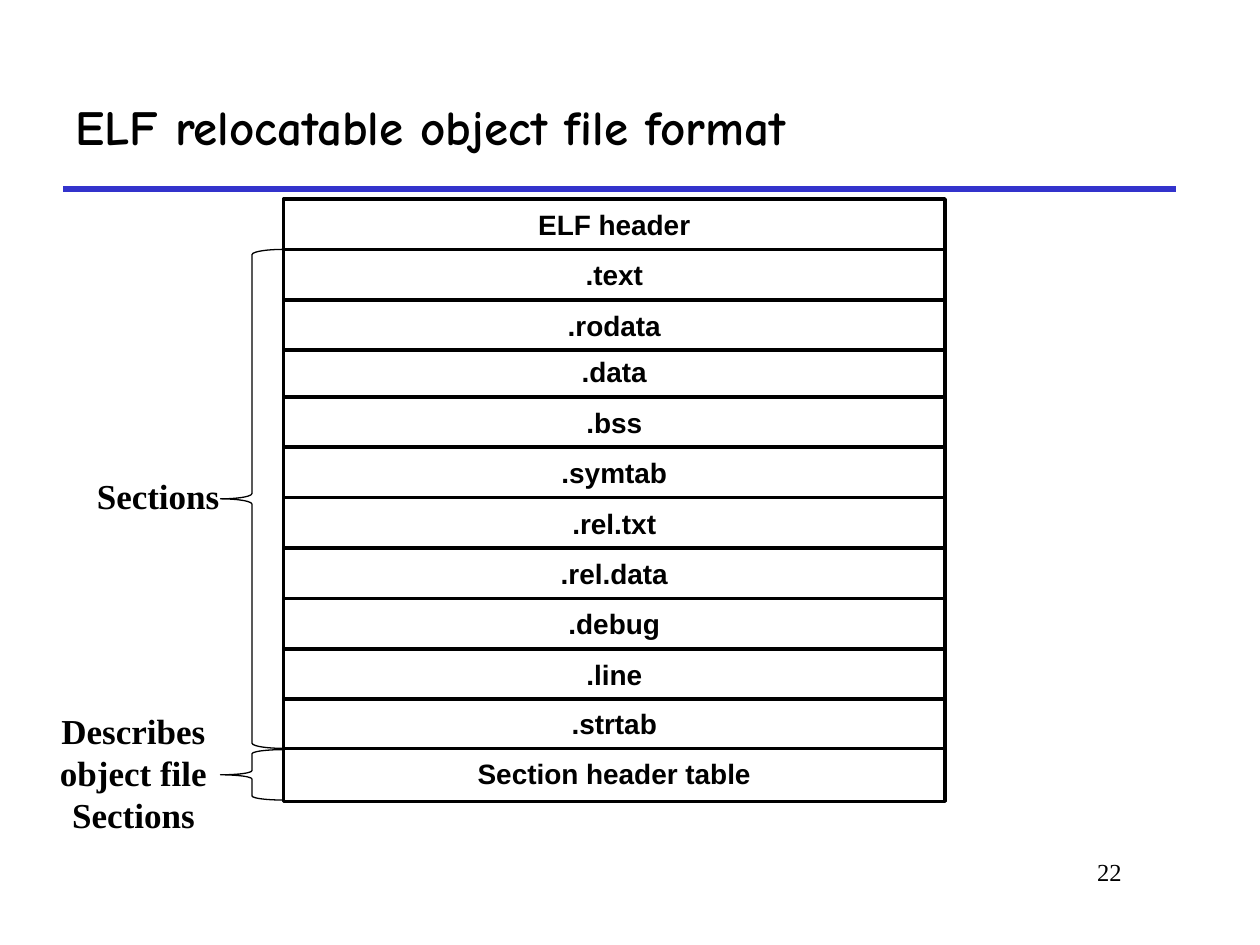
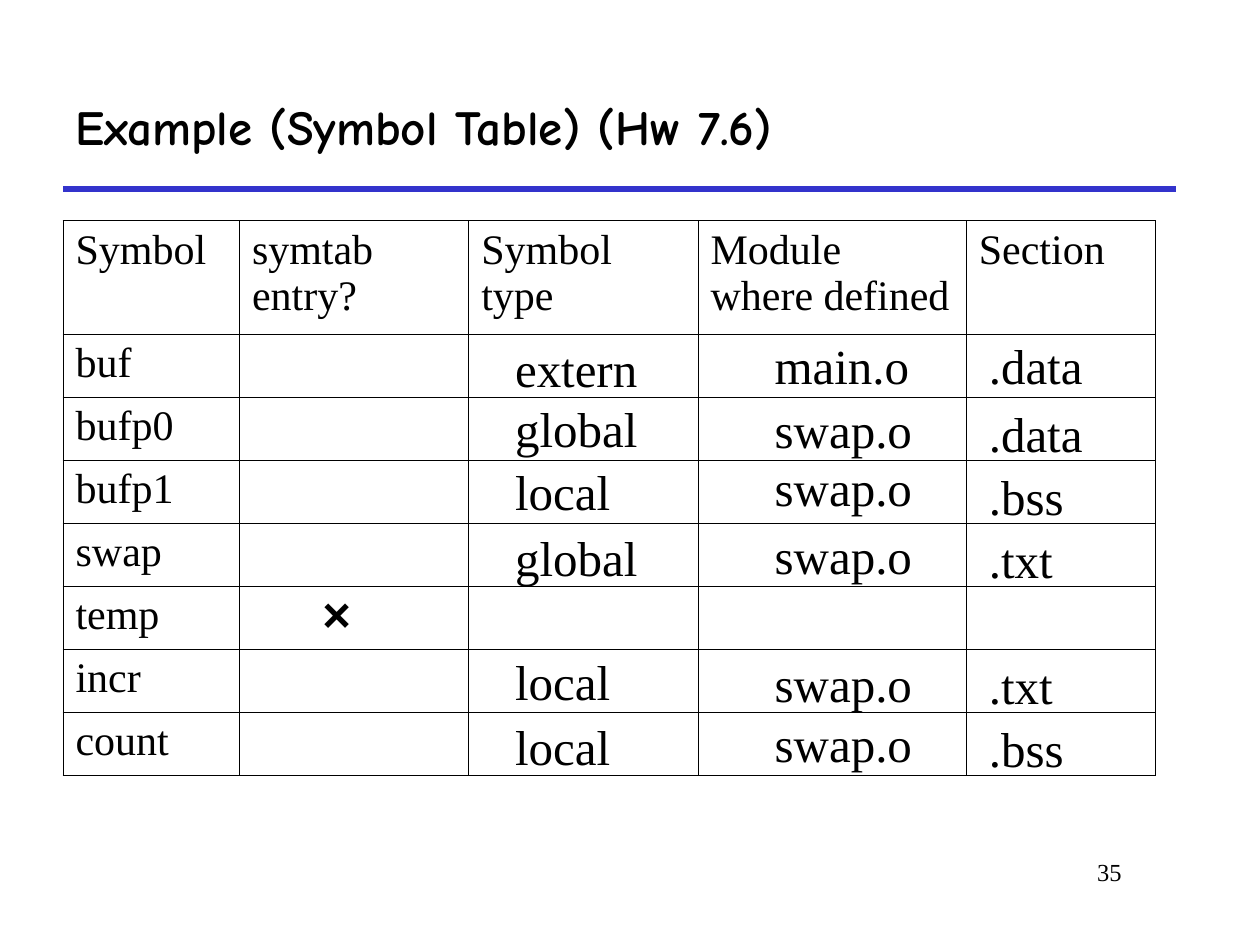
from lxml.etree import SubElement as Sub
from pptx import Presentation
from pptx.dml.color import RGBColor as Rgb
from pptx.enum.shapes import MSO_CONNECTOR as Link, MSO_SHAPE as Form
from pptx.enum.text import MSO_ANCHOR as Anchor, MSO_AUTO_SIZE as Fit, PP_ALIGN as Align
from pptx.oxml import parse_xml
from pptx.oxml.ns import nsdecls, qn
from pptx.util import Inches, Pt

HUES = {"ink": "000000", "paper": "FFFFFF", "rule": "3333CC"}
SERIF, SANS, HAND = "Times New Roman", "Arial", "Comic Neue"

PARTS = [
    ("ELF header", 1.58), (".text", 1.98), (".rodata", 2.38),
    *((name, 2.75 + 0.4 * i) for i, name in enumerate(
        [".data", ".bss", ".symtab", ".rel.txt", ".rel.data", ".debug", ".line"])),
    (".strtab", 5.54), ("Section header table", 5.92),
]

HEADS = ["Symbol", "symtab entry?", "Symbol type", "Module where defined", "Section"]
NAMES = ["buf", "bufp0", "bufp1", "swap", "temp", "incr", "count"]
COLS = [1.4, 1.82, 1.82, 2.13, 1.5]
WIDTHS = {
    "extern": 1.2, "global": 1.2, "local": 0.98, "main.o": 1.3,
    "swap.o": 1.32, ".data": 0.97, ".bss": 0.82, ".txt": 0.73,
}
FILLED = [
    (3.99, [("extern", 2.64), ("global", 3.11), ("local", 3.61),
            ("global", 4.14), ("local", 5.12), ("local", 5.64)]),
    (6.05, [("main.o", 2.61), ("swap.o", 3.12), ("swap.o", 3.58),
            ("swap.o", 4.12), ("swap.o", 5.14), ("swap.o", 5.61)]),
    (7.75, [(".data", 2.61), (".data", 3.15), (".bss", 3.65),
            (".txt", 4.15), (".txt", 5.15), (".bss", 5.65)]),
]


def hue(name):
    return Rgb.from_string(HUES[name])


def write(frame, text, size, font=SERIF, bold=False, align=Align.LEFT):
    frame.text = text
    for para in frame.paragraphs:
        para.alignment = align
        for run in para.runs:
            run.font.size = Pt(size)
            run.font.name = font
            run.font.bold = bold
            run.font.color.rgb = hue("ink")


def label(slide, box, text, size, wrap=False, anchor=Anchor.TOP, **style):
    frame = slide.shapes.add_textbox(*map(Inches, box)).text_frame
    frame.word_wrap = wrap
    frame.auto_size = Fit.NONE if wrap else Fit.SHAPE_TO_FIT_TEXT
    frame.vertical_anchor = anchor
    write(frame, text, size, **style)


def rule(slide):
    line = slide.shapes.add_connector(
        Link.STRAIGHT, Inches(0.5), Inches(1.5), Inches(9.33), Inches(1.5))
    line.line.color.rgb = hue("rule")
    line.line.width = Pt(3)
    Sub(line._element.spPr, qn("a:effectLst"))


def page(deck, title, number):
    slide = deck.slides.add_slide(deck.slide_layouts[6])
    rule(slide)
    label(slide, (7.58, 6.75, 1.42, 0.5), number, 14, wrap=True, align=Align.RIGHT)
    label(slide, (0.5, 0.5, 8.83, 1), title, 28, wrap=True,
          anchor=Anchor.MIDDLE, font=HAND, bold=True)
    return slide


def shape(slide, form, box, width):
    item = slide.shapes.add_shape(form, *map(Inches, box))
    item.shadow.inherit = False
    item.line.color.rgb = hue("ink")
    item.line.width = Pt(width)
    return item


def part(slide, text, top, height):
    item = shape(slide, Form.RECTANGLE, (2.25, top, 5.25, height), 2)
    item.fill.solid()
    item.fill.fore_color.rgb = hue("paper")
    item.text_frame.word_wrap = False
    item.text_frame.vertical_anchor = Anchor.MIDDLE
    write(item.text_frame, text, 16, SANS, True, Align.CENTER)


def brace(slide, top, height):
    shape(slide, Form.LEFT_BRACE, (1.75, top, 0.5, height), 0.75).fill.background()


def border(cell):
    props = cell._tc.get_or_add_tcPr()
    for i, side in enumerate("LRTB"):
        props.insert(i, parse_xml(
            f'<a:ln{side} {nsdecls("a")} w="5715"><a:solidFill>'
            f'<a:srgbClr val="{HUES["ink"]}"/></a:solidFill></a:ln{side}>'))


def grid(slide):
    rows = [HEADS] + [[name] + [""] * 4 for name in NAMES]
    table = slide.shapes.add_table(
        len(rows), len(COLS), Inches(0.5), Inches(1.75),
        Inches(sum(COLS)), Inches(4.4)).table
    table.first_row = table.horz_banding = False
    for col, width in zip(table.columns, COLS):
        col.width = Inches(width)
    for r, row in enumerate(rows):
        table.rows[r].height = Inches(0.5 if r else 0.9)
        for c, text in enumerate(row):
            cell = table.cell(r, c)
            cell.fill.background()
            border(cell)
            if text:
                write(cell.text_frame, text, 24)


def layout(deck):
    slide = page(deck, "ELF relocatable object file format", "22")
    last = PARTS[-1][0]
    for text, top in reversed(PARTS):
        part(slide, text, top, 0.44 if text == last else 0.4)
    brace(slide, 1.98, 3.96)
    brace(slide, 5.95, 0.4)
    label(slide, (0.67, 3.72, 1.2, 0.44), "Sections", 20, bold=True)
    label(slide, (0.36, 5.58, 1.4, 1.1), "Describes\nobject file\nSections", 20,
          bold=True, align=Align.CENTER)


def symbols(deck):
    slide = page(deck, "Example (Symbol Table) (Hw 7.6)", "35")
    grid(slide)
    label(slide, (2.46, 4.58, 0.51, 0.57), "×", 28, font=SANS, bold=True)
    for left, words in FILLED:
        for text, top in words:
            label(slide, (left, top, WIDTHS[text], 0.57), text, 28)


def main():
    deck = Presentation()
    deck.slide_width, deck.slide_height = Inches(10), Inches(7.5)
    layout(deck)
    symbols(deck)
    deck.save("out.pptx")


if __name__ == "__main__":
    main()
